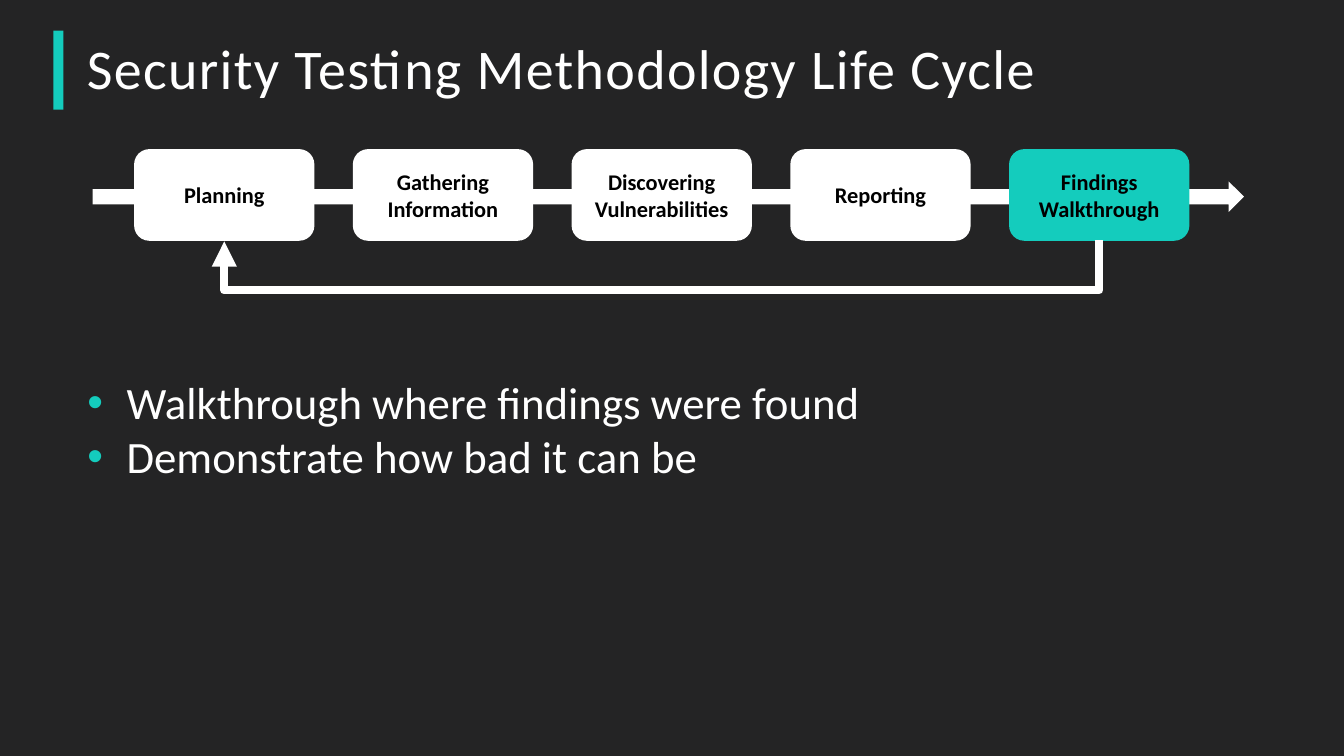
import pptx
import pptx.dml.color
import pptx.enum.shapes
import pptx.enum.text
import pptx.oxml
import pptx.oxml.ns
import pptx.util

Pt = pptx.util.Pt
SHAPE = pptx.enum.shapes.MSO_SHAPE
ALIGN = pptx.enum.text.PP_ALIGN
ANCHOR = pptx.enum.text.MSO_ANCHOR
AUTO_SIZE = pptx.enum.text.MSO_AUTO_SIZE
qn = pptx.oxml.ns.qn

DARK, WHITE, BLACK, TEAL = "242425", "FFFFFF", "000000", "14CCBD"
FONT = "Calibri"
STEPS = ["Planning", "Gathering Information", "Discovering Vulnerabilities",
         "Reporting", "Findings Walkthrough"]
POINTS = ["Walkthrough where findings were found", "Demonstrate how bad it can be"]

# Process row, in points
STEP_LEFT, STEP_TOP, STEP_PITCH = 95.8, 106.5, 156.25
STEP_WIDTH, STEP_HEIGHT = 128.8, 65.5


def paint(target, color):
    """Apply a solid colour to a fill."""
    target.solid()
    target.fore_color.rgb = pptx.dml.color.RGBColor.from_string(color)


def xml(tag, **attributes):
    element = pptx.oxml.parse_xml(f"<{tag} {pptx.oxml.ns.nsdecls('a')}/>")
    for name, value in attributes.items():
        element.set(name, str(value))
    return element


def write(p, text, size=16, color=WHITE, bold=False, align=ALIGN.LEFT, tracking=0):
    p.alignment = align
    r = p.add_run()
    r.text = text
    r.font.name, r.font.size, r.font.bold = FONT, Pt(size), bold
    paint(r.font.fill, color)
    if tracking:
        r.font._element.set("spc", str(int(tracking * 100)))


def add_block(s, kind, left, top, width, height, color):
    sp = s.shapes.add_shape(kind, Pt(left), Pt(top), Pt(width), Pt(height))
    sp.shadow.inherit = False
    paint(sp.fill, color)
    sp.line.fill.background()
    return sp


def add_title(s, text):
    sp = s.shapes.title
    sp.left, sp.top, sp.width, sp.height = Pt(54.9), Pt(25.2), Pt(865.5), Pt(52)
    tf = sp.text_frame
    tf.word_wrap, tf.auto_size = True, AUTO_SIZE.NONE
    tf.vertical_anchor = ANCHOR.MIDDLE
    tf.paragraphs[0].line_spacing = 0.9
    write(tf.paragraphs[0], text, size=40, tracking=1)


def add_step(s, index, text, color):
    sp = add_block(s, SHAPE.ROUNDED_RECTANGLE, STEP_LEFT + index * STEP_PITCH,
                   STEP_TOP, STEP_WIDTH, STEP_HEIGHT, color)
    tf = sp.text_frame
    tf.word_wrap, tf.vertical_anchor = True, ANCHOR.MIDDLE
    write(tf.paragraphs[0], text, color=BLACK, bold=True, align=ALIGN.CENTER)


def add_return_arrow(s, drop):
    """Elbow from the last step down by drop and back up to the first."""
    span = (len(STEPS) - 1) * STEP_PITCH
    middle = STEP_LEFT + (STEP_WIDTH + span) / 2
    bottom = STEP_TOP + STEP_HEIGHT
    # A 1 pt wide elbow, turned by 90 degrees about its centre
    sp = s.shapes.add_connector(
        pptx.enum.shapes.MSO_CONNECTOR.ELBOW,
        Pt(middle - 0.5), Pt(bottom - span / 2),
        Pt(middle + 0.5), Pt(bottom + span / 2))
    sp.line.width = Pt(6)
    paint(sp.line.fill, WHITE)
    sp.line._get_or_add_ln().append(xml("a:tailEnd", type="triangle"))
    props = sp._element.spPr
    props.append(xml("a:effectLst"))
    props.find(qn("a:xfrm")).set("rot", "5400000")
    geometry = props.find(qn("a:prstGeom"))
    for guides in geometry.findall(qn("a:avLst")):
        geometry.remove(guides)
    guides = xml("a:avLst")
    guides.append(xml("a:gd", name="adj1", fmla=f"val {drop * 100000}"))
    geometry.append(guides)


def add_bullets(s, lines, left, top, width, height):
    tf = s.shapes.add_textbox(Pt(left), Pt(top), Pt(width), Pt(height)).text_frame
    tf.word_wrap, tf.auto_size = True, AUTO_SIZE.SHAPE_TO_FIT_TEXT
    for index, line in enumerate(lines):
        p = tf.add_paragraph() if index else tf.paragraphs[0]
        write(p, line, size=32)
        props = p._element.get_or_add_pPr()
        props.set("marL", str(Pt(28)))
        props.set("indent", str(Pt(-28)))
        bullet_color = xml("a:buClr")
        bullet_color.append(xml("a:srgbClr", val=TEAL))
        props.append(bullet_color)
        props.append(xml("a:buFont", typeface="Arial"))
        props.append(xml("a:buChar", char="•"))


def main():
    prs = pptx.Presentation()
    prs.slide_width, prs.slide_height = Pt(960), Pt(540)
    s = prs.slides.add_slide(prs.slide_layouts[5])
    paint(s.background.fill, DARK)

    # Heading with accent bar
    add_title(s, "Security Testing Methodology Life Cycle")
    add_block(s, SHAPE.RECTANGLE, 38.2, 21.8, 7.2, 56.6, TEAL)

    # Life cycle: band, steps and return arrow
    add_block(s, SHAPE.RIGHT_ARROW, 66.2, 129.6, 822.4, 21.8, WHITE)
    for index, text in enumerate(STEPS):
        add_step(s, index, text, TEAL if text == STEPS[-1] else WHITE)
    add_return_arrow(s, drop=36)

    # Key points
    add_bullets(s, POINTS, 55.4, 264.2, 758.2, 85)
    prs.save("out.pptx")


if __name__ == "__main__":
    main()
